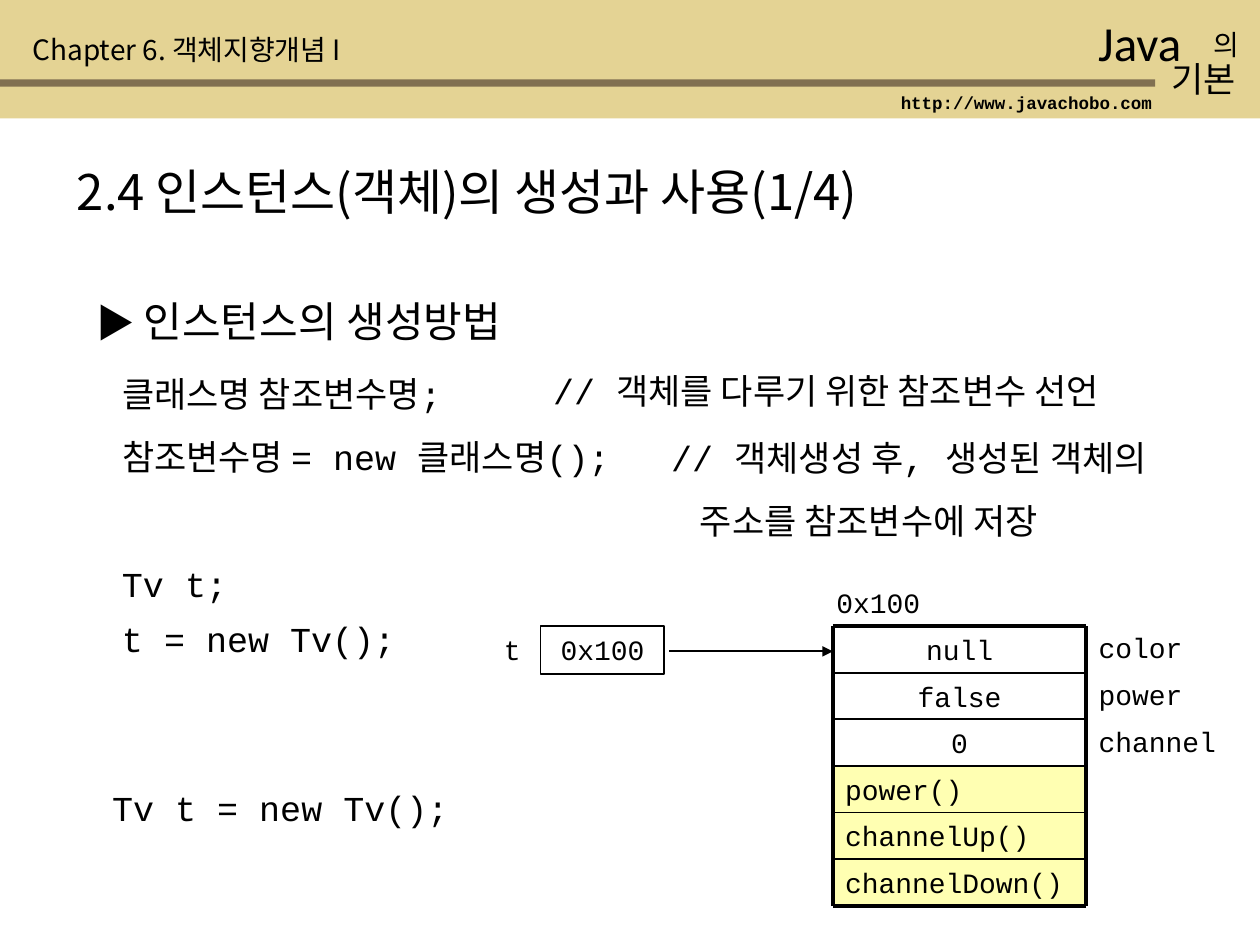
from lxml import etree
from pptx import Presentation
from pptx.dml.color import RGBColor
from pptx.enum.shapes import MSO_CONNECTOR, MSO_SHAPE
from pptx.enum.text import MSO_ANCHOR, MSO_AUTO_SIZE, PP_ALIGN
from pptx.oxml.ns import qn
from pptx.util import Cm, Pt

RECTANGLE = MSO_SHAPE.RECTANGLE
STRAIGHT = MSO_CONNECTOR.STRAIGHT
LEFT, CENTER = PP_ALIGN.LEFT, PP_ALIGN.CENTER
KOREAN, CODE, LATIN = "Noto Sans CJK KR", "Courier New", "Calibri"
BLACK, SAND, BROWN, YELLOW = "000000", "E4D394", "817051", "FFFF66"

# Bands: left, top, width, height, colour
BANDS = [(0, 0, 25.4, 2.39, SAND), (0, 1.6, 23.29, 0.15, BROWN)]

TITLE = ("2.4 인스턴스(객체)의 생성과 사용(1/4)", (1.3, 3.12, 21.59, 1.45))
SYNTAX = (["클래스명 참조변수명;", "참조변수명 = new 클래스명();"],
          (2.21, 7.37, 11.51, 2.39))

# Text boxes: lines, place, size, typeface, bold
TEXTS = [
    (["Java"], (21.89, 0.13, 3.38, 1.45), 28, LATIN, False),
    (["의"], (24.21, 0.43, 1.5, 0.94), 16, KOREAN, False),
    (["기본"], (23.37, 1.02, 2.26, 1.12), 20, KOREAN, False),
    (["http://www.javachobo.com"], (17.91, 1.73, 5.59, 0.69), 10, CODE, True),
    (["Chapter 6. 객체지향개념 I"], (0.41, 0.53, 11, 0.94), 16, KOREAN, False),
    (["// 객체를 다루기 위한 참조변수 선언"],
     (10.9, 7.32, 13.59, 1.12), 20, CODE, False),
    (["Tv t;"], (2.21, 11.2, 4.29, 1.12), 20, CODE, False),
    (["t = new Tv();"], (2.21, 12.32, 6.4, 1.12), 20, CODE, False),
    (["Tv t = new Tv();"], (2.01, 15.72, 7.8, 1.12), 20, CODE, False),
    (["t"], (9.91, 12.62, 1, 0.94), 16, CODE, False),
    (["0x100"], (16.61, 11.68, 2.59, 0.94), 16, CODE, False),
]
HEADING = ([("▶ ", 22), ("인스턴스의 생성방법", 24)], (1.7, 5.82, 10.69, 1.27))
COMMENT = (["// 객체생성 후, 생성된 객체의", "주소를 참조변수에 저장"],
           (13.28, 8.66, 11.61, 2.39))
COMMENT_INDENT = 0.58

FIELDS = [("color", "null"), ("power", "false"), ("channel", "0")]
METHODS = ["power()", "channelUp()", "channelDown()"]
OBJECT_LEFT, OBJECT_TOP, OBJECT_WIDTH, ROW = 16.79, 12.62, 5.11, 0.94
REFERENCE = ("0x100", (10.9, 12.62, 2.49, 0.97))
ARROW = (13.49, 13.13, OBJECT_LEFT, 13.13)


def color(hex_value):
    return RGBColor.from_string(hex_value)


def lengths(place):
    return [Cm(value) for value in place]


def style(span, size, typeface=CODE, bold=False):
    values = {"size": Pt(size), "name": typeface, "bold": bold}
    for name, value in values.items():
        setattr(span.font, name, value)
    span.font.color.rgb = color(BLACK)
    east_asian = etree.SubElement(span.font._element, qn("a:ea"))
    east_asian.set("typeface", KOREAN)


def write(shape, lines, size, typeface=CODE, bold=False, align=LEFT):
    """Fill a shape; a line is a string or a list of (words, size) spans."""
    frame = shape.text_frame
    values = {"word_wrap": True, "auto_size": MSO_AUTO_SIZE.NONE,
              "vertical_anchor": MSO_ANCHOR.TOP,
              "margin_left": Cm(0.25), "margin_right": Cm(0.25),
              "margin_top": Cm(0.13), "margin_bottom": Cm(0.13)}
    for name, value in values.items():
        setattr(frame, name, value)
    for index, line in enumerate(lines):
        para = frame.add_paragraph() if index else frame.paragraphs[0]
        para.alignment = align
        para.space_before = Pt(12.5 if index else 0)
        spans = [(line, size)] if isinstance(line, str) else line
        for words, span_size in spans:
            span = para.add_run()
            span.text = words
            style(span, span_size, typeface, bold)


def add_text(page, lines, place, *look):
    box = page.shapes.add_textbox(*lengths(place))
    write(box, lines, *look)
    return box


def fill_placeholder(box, lines, place, *look):
    box.left, box.top, box.width, box.height = lengths(place)
    write(box, lines, *look)
    for para in box.text_frame.paragraphs:
        properties = para._p.get_or_add_pPr()
        properties.set("marL", "0")
        properties.set("indent", "0")
        etree.SubElement(properties, qn("a:buNone"))


def add_rectangle(page, place, fill=None, line_width=None, opacity=100):
    box = page.shapes.add_shape(RECTANGLE, *lengths(place))
    box.shadow.inherit = False
    if fill:
        box.fill.solid()
        box.fill.fore_color.rgb = color(fill)
        if opacity < 100:
            shade = box._element.spPr.find(".//" + qn("a:srgbClr"))
            etree.SubElement(shade, qn("a:alpha")).set("val", str(opacity * 1000))
    else:
        box.fill.background()
    if line_width:
        box.line.color.rgb = color(BLACK)
        box.line.width = Pt(line_width)
    else:
        box.line.fill.background()
    return box


def add_line(page, ends, width, arrow=False):
    line = page.shapes.add_connector(STRAIGHT, *lengths(ends))
    line.line.color.rgb = color(BLACK)
    line.line.width = Pt(width)
    if arrow:
        head = etree.SubElement(line.line._get_or_add_ln(), qn("a:tailEnd"))
        head.set("type", "triangle")
    etree.SubElement(line._element.spPr, qn("a:effectLst"))


def add_object(page):
    """Draw the instance: a row for each field and method, ruled and framed."""
    rows = [(value, None, CENTER) for _, value in FIELDS]
    rows += [(method, YELLOW, LEFT) for method in METHODS]
    right = OBJECT_LEFT + OBJECT_WIDTH
    edges = [OBJECT_TOP + ROW * index for index in range(len(rows) + 1)]
    for (words, fill, align), top in zip(rows, edges):
        place = (OBJECT_LEFT, top, OBJECT_WIDTH, ROW)
        cell = add_rectangle(page, place, fill, opacity=50)
        write(cell, [words], 16, CODE, False, align)
    for edge in edges:
        width = 2.25 if edge in (edges[0], edges[-1]) else 1
        add_line(page, (OBJECT_LEFT, edge, right, edge), width)
    for side in (OBJECT_LEFT, right):
        add_line(page, (side, edges[0], side, edges[-1]), 2.25)
    for (name, _), top in zip(FIELDS, edges):
        add_text(page, [name], (right, top - 0.03, 3.2, ROW), 16)


def main():
    deck = Presentation()
    deck.slide_width, deck.slide_height = Cm(25.4), Cm(19.05)
    page = deck.slides.add_slide(deck.slide_layouts[1])
    for *place, fill in BANDS:
        add_rectangle(page, place, fill)

    title, place = TITLE
    fill_placeholder(page.shapes.title, [title], place, 28, KOREAN)
    fill_placeholder(page.placeholders[1], *SYNTAX, 20)
    for text in TEXTS:
        add_text(page, *text)
    spans, place = HEADING
    add_text(page, [spans], place, 24, KOREAN)
    comment = add_text(page, *COMMENT, 20)
    second = comment.text_frame.paragraphs[1]
    second._p.get_or_add_pPr().set("marL", str(Cm(COMMENT_INDENT)))

    address, place = REFERENCE
    reference = add_rectangle(page, place, line_width=0.75)
    write(reference, [address], 16, CODE, False, CENTER)
    add_object(page)
    add_line(page, ARROW, 1, arrow=True)
    deck.save("out.pptx")


if __name__ == "__main__":
    main()
